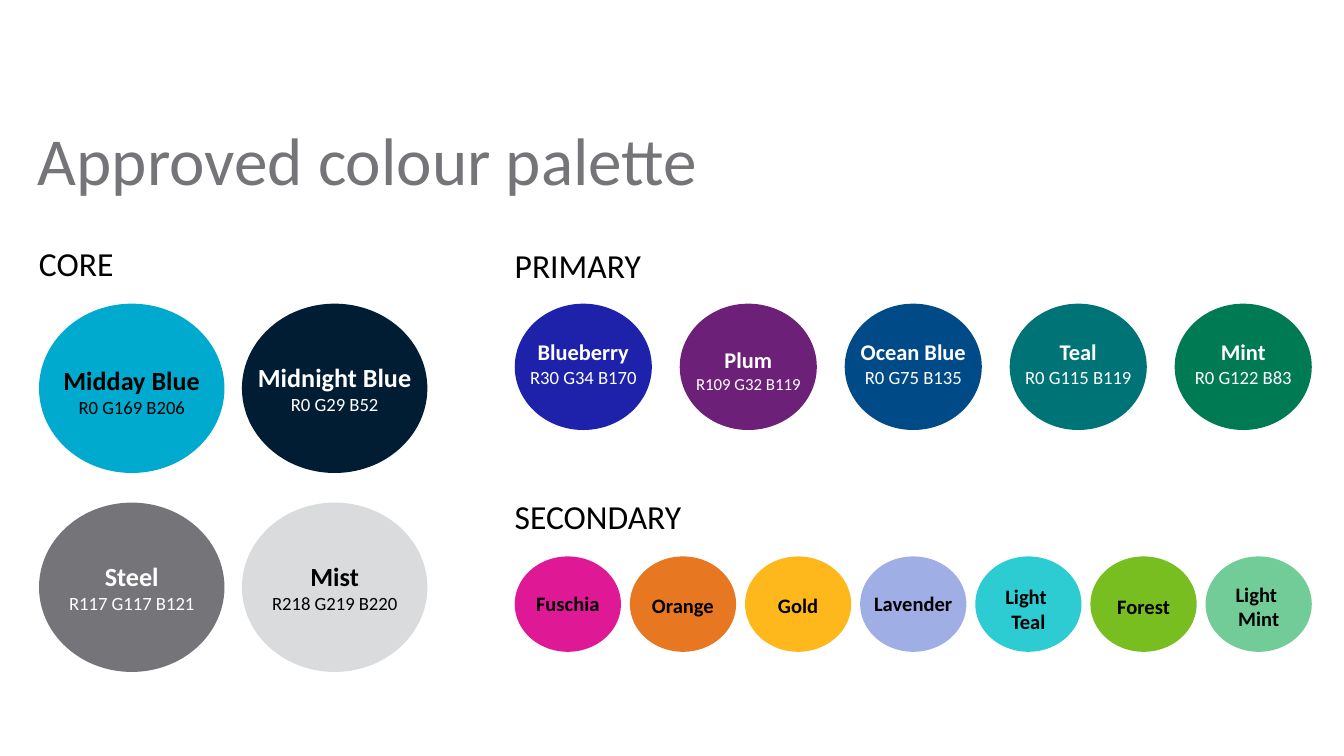
from pptx import Presentation
from pptx.dml.color import RGBColor
from pptx.enum.shapes import MSO_SHAPE
from pptx.enum.text import MSO_ANCHOR, PP_ALIGN
from pptx.util import Inches, Pt

FONT = "Calibri"
BLACK, WHITE, STEEL = "000000", "FFFFFF", "757579"
TITLE = "Approved colour palette"

SWATCH_FIELDS = ("name", "code", "fill", "text_colour", "label_offset", "code_size")
SECTIONS = [
    {"heading": "CORE", "heading_box": (0.29, 1.81, 1.91, 0.3),
     "left": 0.29, "right": 3.18, "top": 2.26, "row_pitch": 1.48,
     "columns": 2, "size": (1.38, 1.26), "name_size": 14,
     "swatches": [
         ("Midday Blue", "R0 G169 B206", "00A9CE", BLACK, 0.4, 10),
         ("Midnight Blue", "R0 G29 B52", "001D34", WHITE, 0.38, 10),
         ("Steel", "R117 G117 B121", STEEL, WHITE, 0.38, 10),
         ("Mist", "R218 G219 B220", "DADBDC", BLACK, 0.38, 10)]},
    {"heading": "PRIMARY", "heading_box": (3.83, 1.82, 2.44, 0.3),
     "left": 3.83, "right": 9.76, "top": 2.26, "row_pitch": 0,
     "columns": 5, "size": (1.02, 0.94), "name_size": 12,
     "swatches": [
         ("Blueberry", "R30 G34 B170", "1E22AA", WHITE, 0.21, 10),
         ("Plum", "R109 G32 B119", "6D2077", WHITE, 0.27, 9),
         ("Ocean Blue", "R0 G75 B135", "004B87", WHITE, 0.21, 10),
         ("Teal", "R0 G115 B119", "007377", WHITE, 0.21, 10),
         ("Mint", "R0 G122 B83", "007A53", WHITE, 0.21, 10)]},
    {"heading": "SECONDARY", "heading_box": (3.83, 3.69, 2.44, 0.3),
     "left": 3.83, "right": 9.76, "top": 4.14, "row_pitch": 0,
     "columns": 7, "size": (0.79, 0.71), "name_size": 11,
     "swatches": [
         ("Fuschia", "", "DF1995", BLACK, 0.21, 0),
         ("Orange", "", "E87722", BLACK, 0.22, 0),
         ("Gold", "", "FFB81C", BLACK, 0.22, 0),
         ("Lavender", "", "9FAEE5", BLACK, 0.21, 0),
         ("Light \vTeal", "", "2DCCD3", BLACK, 0.16, 0),
         ("Forest", "", "78BE20", BLACK, 0.23, 0),
         ("Light \vMint", "", "71CC98", BLACK, 0.14, 0)]},
]


def colour(value):
    return RGBColor.from_string(value)


def inches(box):
    return [Inches(length) for length in box]


def write(frame, lines, text_colour, align, inset=0):
    """Fill a frame with (text, size, bold) lines."""
    frame.word_wrap = True
    frame.margin_left = frame.margin_right = 0
    frame.margin_top = frame.margin_bottom = Inches(inset)
    for index, (text, size, bold) in enumerate(lines):
        paragraph = frame.add_paragraph() if index else frame.paragraphs[0]
        paragraph.text = text
        paragraph.alignment = align
        for run in paragraph.runs:
            run.font.name, run.font.size, run.font.bold = FONT, Pt(size), bold
            run.font.color.rgb = colour(text_colour)


def add_swatch(slide, swatch, left, top, size, name_size):
    name, code, code_size = swatch["name"], swatch["code"], swatch["code_size"]
    width, height = size
    group = slide.shapes.add_group_shape()
    circle = group.shapes.add_shape(MSO_SHAPE.OVAL, *inches((left, top, width, height)))
    circle.shadow.inherit = False
    circle.fill.solid()
    circle.fill.fore_color.rgb = colour(swatch["fill"])
    circle.line.fill.background()

    lines = [(name, name_size, True)]
    if code:
        lines.append((code, code_size, False))
    points = name_size * (1 + name.count("\v")) + code_size
    label_height = round(points * 1.22 / 72 + 0.1, 2)
    label_top = top + swatch["label_offset"]
    label = group.shapes.add_textbox(*inches((left, label_top, width, label_height)))
    write(label.text_frame, lines, swatch["text_colour"], PP_ALIGN.CENTER, 0.05)


def add_section(slide, section):
    heading = slide.shapes.add_textbox(*inches(section["heading_box"]))
    write(heading.text_frame, [(section["heading"], 18, False)], BLACK, PP_ALIGN.LEFT)
    span = section["right"] - section["left"] - section["size"][0]
    pitch = span / (section["columns"] - 1)
    for index, values in enumerate(section["swatches"]):
        row, column = divmod(index, section["columns"])
        add_swatch(slide, dict(zip(SWATCH_FIELDS, values)),
                   section["left"] + column * pitch,
                   section["top"] + row * section["row_pitch"],
                   section["size"], section["name_size"])


def main():
    deck = Presentation()
    deck.slide_width = Inches(10)
    deck.slide_height = deck.slide_width * 9 // 16
    slide = deck.slides.add_slide(deck.slide_layouts[5])
    title = slide.shapes.title
    title.left, title.top, title.width, title.height = inches((0.28, 0.88, 9.45, 0.7))
    title.text_frame.vertical_anchor = MSO_ANCHOR.TOP
    write(title.text_frame, [(TITLE, 36, False)], STEEL, PP_ALIGN.LEFT)
    for section in SECTIONS:
        add_section(slide, section)
    deck.save("out.pptx")


if __name__ == "__main__":
    main()
